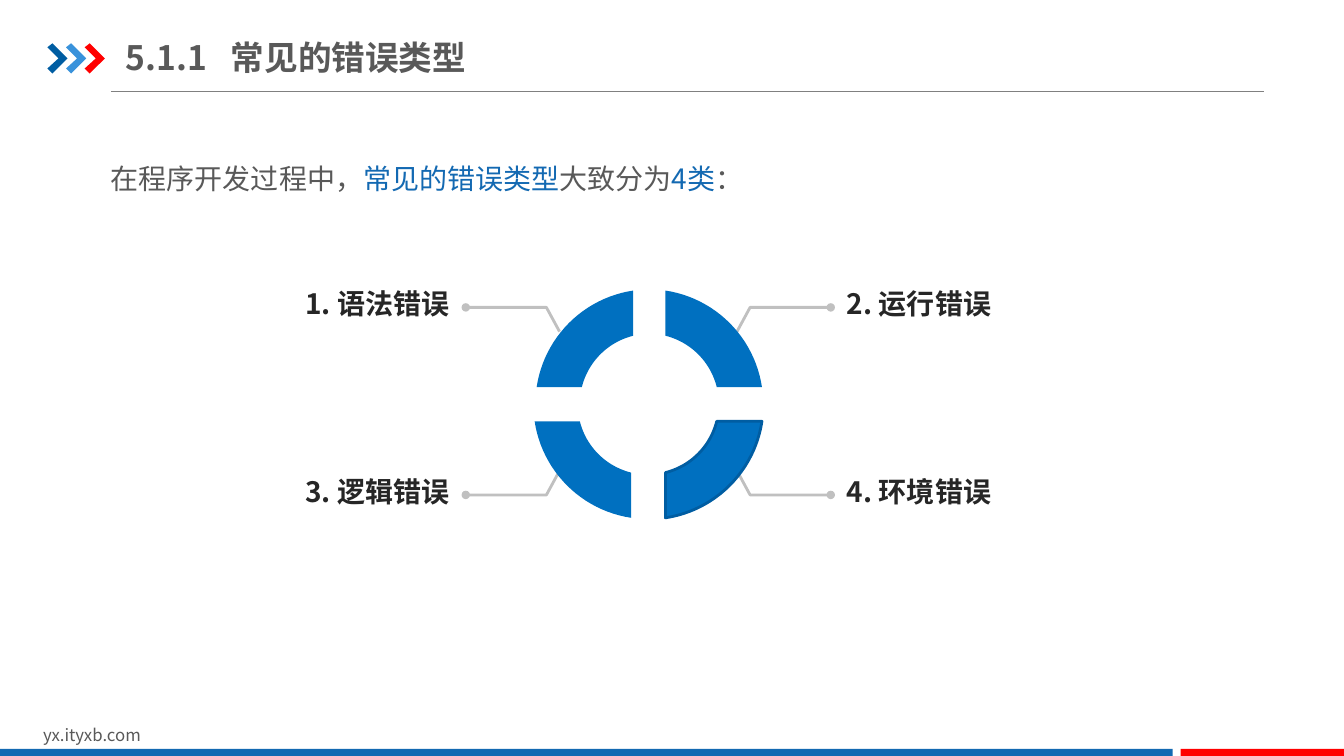
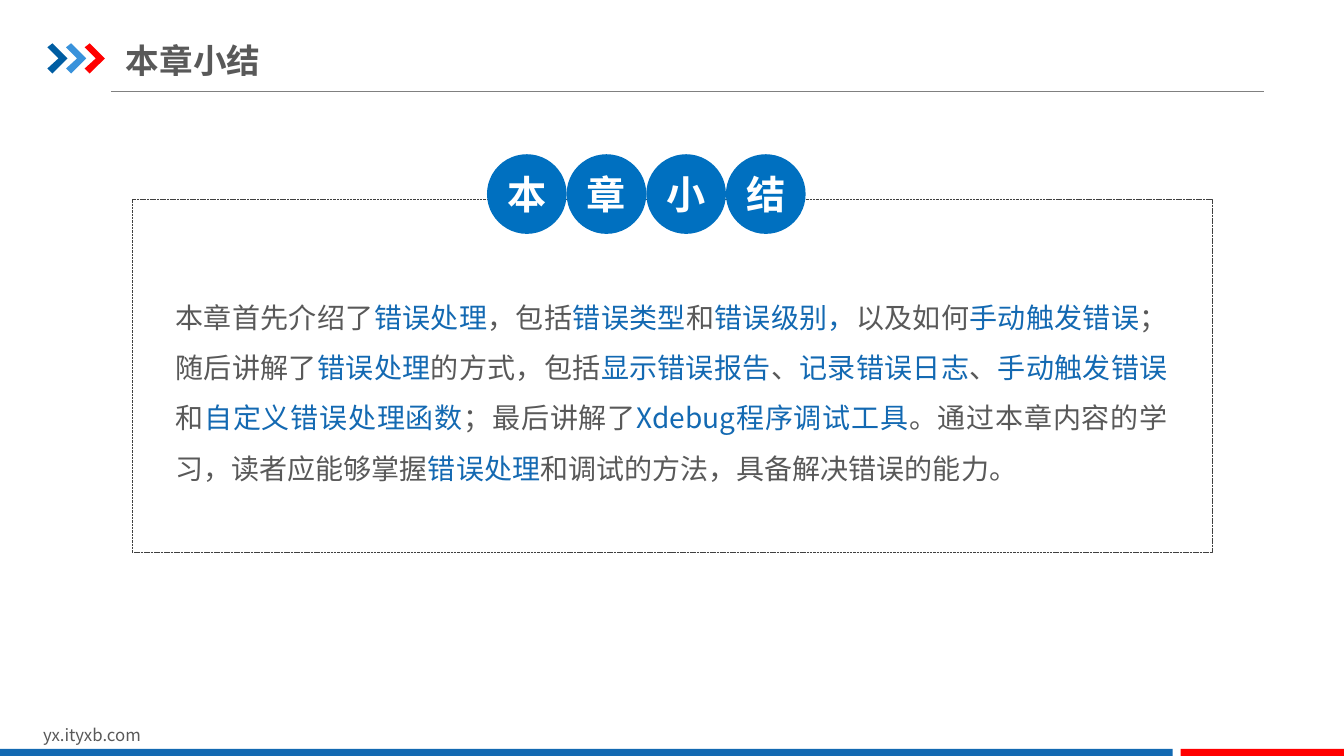
import math
from lxml import etree
from pptx import Presentation
from pptx import util as u
from pptx.dml.color import RGBColor
from pptx.enum import dml, shapes, text
from pptx.oxml import ns

FONT = "Noto Sans CJK SC"
GREY, BLUE, RED, DARK, WHITE = "595959", "1369B2", "FF0000", "262626", "FFFFFF"
RING_BLUE, DEEP_BLUE, LIGHT_BLUE = "0070C0", "005DA2", "3992DB"
LEADER_GREY, RULE_GREY, FRAME_GREY = "C0C0C0", "808080", "404040"
SLIDE_WIDTH, SLIDE_HEIGHT = 13.33, 7.5
ALIGN = text.PP_ALIGN
ANCHOR = text.MSO_ANCHOR
NO_MARGINS = (0, 0, 0, 0)
TITLE_MARGINS = (0, 0.07, 0, 0.07)


def set_values(target, values):
    for name, value in values.items():
        setattr(target, name, value)


def set_colour(colour_format, colour):
    colour_format.rgb = RGBColor.from_string(colour)


def add_xml(parent, tag, **attributes):
    return etree.SubElement(parent, ns.qn(tag), attributes)


def set_style(shape, fill=None, line=None, width=1, dash=None):
    shape.shadow.inherit = False
    if fill:
        shape.fill.solid()
        set_colour(shape.fill.fore_color, fill)
    else:
        shape.fill.background()
    if line:
        set_colour(shape.line.color, line)
        set_values(shape.line, {"width": u.Pt(width), "dash_style": dash})
    else:
        shape.line.fill.background()


def write_text(shape, wording, size, colour, bold=False, align=ALIGN.LEFT,
               spacing=1.0, anchor=ANCHOR.TOP, margins=(0.1, 0.05, 0.1, 0.05), tab=None):
    left, top, right, bottom = map(u.Inches, margins)
    frame = shape.text_frame
    set_values(frame, {"word_wrap": True, "vertical_anchor": anchor, "margin_left": left,
                       "margin_top": top, "margin_right": right, "margin_bottom": bottom})
    paragraph = frame.paragraphs[0]
    set_values(paragraph, {"alignment": align, "line_spacing": spacing})
    if tab:
        tabs = add_xml(paragraph._p.get_or_add_pPr(), "a:tabLst")
        add_xml(tabs, "a:tab", pos=str(u.Inches(tab)), algn="l")
    for index, part in enumerate(wording.split("|")):
        run = paragraph.add_run()
        run.text = part
        set_values(run.font, {"name": FONT, "size": u.Pt(size), "bold": bold})
        set_colour(run.font.color, BLUE if index % 2 else colour)
        add_xml(run._r.get_or_add_rPr(), "a:ea", typeface=FONT)


def add_text(slide, box, wording, size, colour, **options):
    shape = slide.shapes.add_textbox(*map(u.Inches, box))
    write_text(shape, wording, size, colour, **options)


def add_box(slide, kind, box, **style):
    shape = slide.shapes.add_shape(kind, *map(u.Inches, box))
    set_style(shape, **style)
    return shape


def add_outline(slide, points, close=True, **style):
    corners = [(u.Inches(x), u.Inches(y)) for x, y in points]
    builder = slide.shapes.build_freeform(*corners[0])
    builder.add_line_segments(corners[1:], close=close)
    shape = builder.convert_to_shape()
    set_style(shape, **style)
    return shape


def add_header(slide, left, top, title, title_box):
    rule = slide.shapes.add_connector(
        shapes.MSO_CONNECTOR.STRAIGHT,
        *map(u.Inches, (left + 0.63, top + 0.48, left + 12.07, top + 0.48)))
    set_colour(rule.line.color, RULE_GREY)
    rule.line.width = u.Pt(0.75)
    add_xml(rule._element.spPr, "a:effectLst")
    chevron = [(0, 0.04), (0.05, 0), (0.2, 0.15), (0.05, 0.3), (0, 0.25), (0.11, 0.15)]
    for index, colour in enumerate((DEEP_BLUE, LIGHT_BLUE, RED)):
        start = left + 0.37 * index / 2
        add_outline(slide, [(start + x, top + y) for x, y in chevron], fill=colour)
    add_text(slide, title_box, title, 24, GREY, bold=True, anchor=ANCHOR.MIDDLE,
             margins=TITLE_MARGINS, tab=1.04)


def add_footer(slide, top):
    add_text(slide, (0.33, top - 0.29, 3.18, 0.3), "yx.ityxb.com", 12, GREY)
    for left, right, colour in ((0, 11.63, BLUE), (11.71, SLIDE_WIDTH, RED)):
        add_box(slide, shapes.MSO_SHAPE.RECTANGLE,
                (left, top, right - left, SLIDE_HEIGHT - top), fill=colour)


def add_base_slide(presentation, title, title_box):
    slide = presentation.slides.add_slide(presentation.slide_layouts[6])
    add_header(slide, 0.47, 0.43, title, title_box)
    add_footer(slide, 7.43)
    return slide


def add_leader_label(slide, centre_x, centre_y, side, level, wording):
    line_y = centre_y + level * 0.93
    points = [(centre_x + side * 0.88, centre_y + level * 0.69),
              (centre_x + side * 1.01, line_y), (centre_x + side * 1.81, line_y)]
    leader = add_outline(slide, points, close=False, line=LEADER_GREY, width=2)
    add_xml(leader.line._get_or_add_ln(), "a:tailEnd", type="oval")
    width = 2.2
    left = centre_x + side * 1.97 - (width if side < 0 else 0)
    add_text(slide, (left, line_y - 0.57, width, 0.7), wording, 20, DARK, bold=True,
             align=ALIGN.RIGHT if side < 0 else ALIGN.LEFT, spacing=1.2,
             anchor=ANCHOR.BOTTOM, margins=NO_MARGINS)


def add_ring_quarter(slide, centre_x, centre_y, side, level, **style):
    half_gap, steps = 0.17, 24

    def arc(radius):
        first = math.asin(half_gap / radius)
        sweep = math.pi / 2 - 2 * first
        angles = [first + sweep * step / steps for step in range(steps + 1)]
        return [(centre_x + side * radius * math.cos(angle),
                 centre_y + level * radius * math.sin(angle)) for angle in angles]

    add_outline(slide, arc(1.14) + arc(0.7)[::-1], fill=RING_BLUE, **style)


def add_error_ring(slide, left, top):
    centre_x, centre_y = left + 4.17, top + 1.5
    quarters = [
        (-1, -1, "1. 语法错误", 0.02, {}),
        (1, -1, "2. 运行错误", 0, {}),
        (-1, 1, "3. 逻辑错误", 0, {}),
        (1, 1, "4. 环境错误", 0, {"line": DEEP_BLUE, "width": 2}),
    ]
    for side, level, wording, _, _ in quarters:
        add_leader_label(slide, centre_x, centre_y, side, level, wording)
    for side, level, _, shift, style in quarters:
        add_ring_quarter(slide, centre_x + shift, centre_y + 0.03, side, level, **style)


def add_summary_panel(slide, left, top, width, height):
    add_box(slide, shapes.MSO_SHAPE.RECTANGLE, (left, top, width, height),
            line=FRAME_GREY, width=0.25, dash=dml.MSO_LINE.SQUARE_DOT)
    add_text(
        slide, (left + 0.43, top + 0.83, 9.84, 2.02),
        "本章首先介绍了|错误处理|，包括|错误类型|和|错误级别，|以及如何|手动触发错误|"
        "；随后讲解了|错误处理|的方式，包括|显示错误报告|、|记录错误日志|、|手动触发错误|"
        "和|自定义错误处理函数|；最后讲解了|Xdebug程序调试工具|。通过本章内容的学习，"
        "读者应能够掌握|错误处理|和调试的方法，具备解决错误的能力。",
        20, GREY, align=ALIGN.JUSTIFY, spacing=1.5, margins=NO_MARGINS)
    diameter = 0.79
    for index, character in enumerate("本章小结"):
        circle = add_box(slide, shapes.MSO_SHAPE.OVAL,
                         (left + 3.52 + diameter * index, top - 0.45, diameter, diameter),
                         fill=RING_BLUE)
        write_text(circle, character, 28, WHITE, bold=True, align=ALIGN.CENTER,
                   anchor=ANCHOR.MIDDLE, margins=NO_MARGINS)


def build_error_types(presentation):
    slide = add_base_slide(presentation, "5.1.1\t常见的错误类型", (1.25, 0.29, 4.26, 0.55))
    add_text(slide, (1, 1.39, 11.26, 0.55),
             "在程序开发过程中，|常见的错误类型|大致分为|4类|：", 20, GREY, spacing=1.5)
    add_error_ring(slide, 2.26, 2.48)


def build_summary(presentation):
    slide = add_base_slide(presentation, "本章小结", (1.25, 0.36, 5.26, 0.48))
    add_summary_panel(slide, 1.31, 1.98, 10.71, 3.5)


def main():
    presentation = Presentation()
    set_values(presentation, {"slide_width": u.Inches(SLIDE_WIDTH),
                              "slide_height": u.Inches(SLIDE_HEIGHT)})
    build_error_types(presentation)
    build_summary(presentation)
    presentation.save("out.pptx")


if __name__ == "__main__":
    main()
